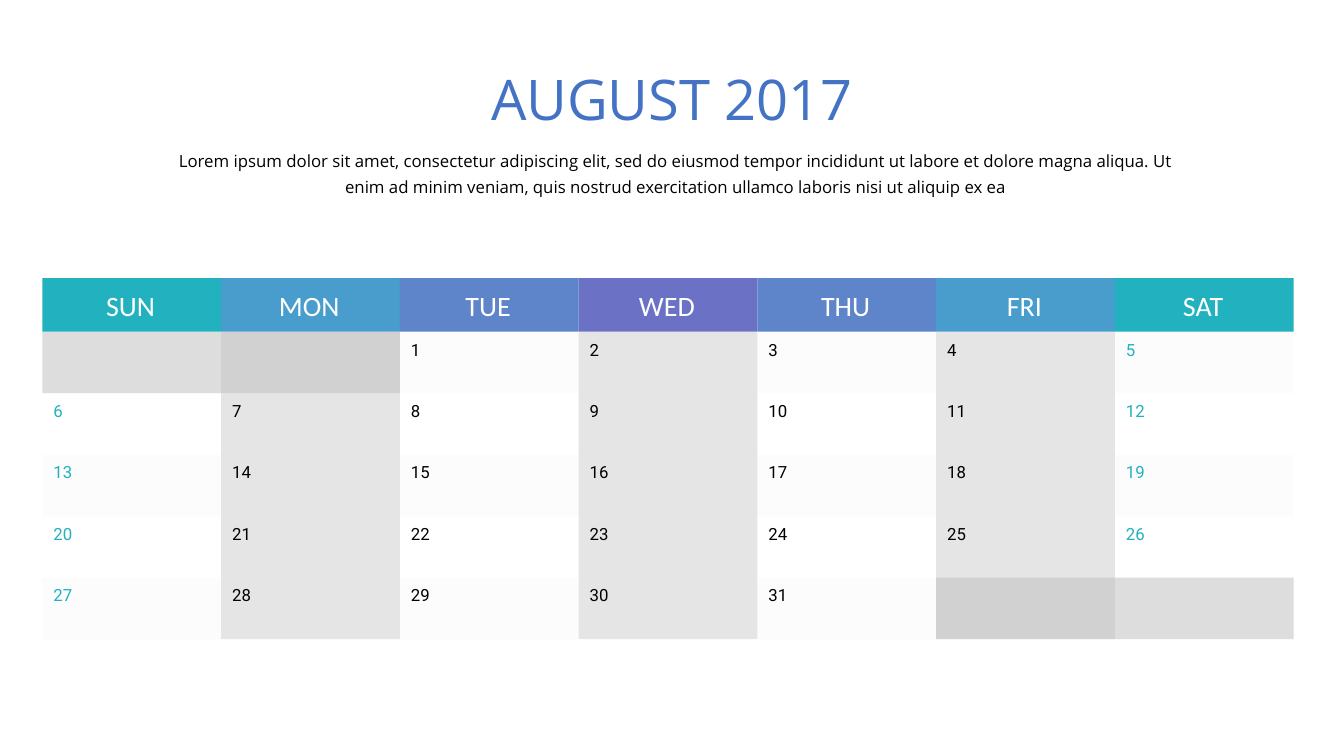
from pptx import Presentation
from pptx.dml.color import RGBColor
from pptx.enum.shapes import MSO_SHAPE
from pptx.enum.text import MSO_ANCHOR, MSO_AUTO_SIZE, PP_ALIGN
from pptx.oxml.ns import qn
from pptx.util import Inches, Pt
from lxml import etree

RECT = MSO_SHAPE.RECTANGLE
TOP, MID = MSO_ANCHOR.TOP, MSO_ANCHOR.MIDDLE
GROW = MSO_AUTO_SIZE.SHAPE_TO_FIT_TEXT
LEFT, MIDDLE = PP_ALIGN.LEFT, PP_ALIGN.CENTER

HUES = {
    "teal": "22B1BF", "sky": "499DCC", "blue": "5E85CA", "plum": "6B71C5",
    "title": "4472C4", "black": "000000", "white": "FFFFFF",
    "band": "E7E6E6", "blank": "BFBFBF",
}
DAYS = [
    ("SUN", "teal"), ("MON", "sky"), ("TUE", "blue"), ("WED", "plum"),
    ("THU", "blue"), ("FRI", "sky"), ("SAT", "teal"),
]
INTRO = (
    "Lorem ipsum dolor sit amet, consectetur adipiscing elit, sed do eiusmod "
    "tempor incididunt ut labore et dolore magna aliqua. Ut enim ad minim "
    "veniam, quis nostrud exercitation ullamco laboris nisi ut aliquip ex ea"
)
X, HEAD_Y, GRID_Y = 0.42, 2.76, 3.29
COL_W, HEAD_H, ROW_H = 1.773, 0.53, 0.61
ROWS, START, LAST = 5, 2, 31


def add_rect(slide, x, y, w, h, hue, alpha=None):
    """Draw a plain rectangle, with alpha as opacity in percent."""
    box = slide.shapes.add_shape(RECT, Inches(x), Inches(y), Inches(w), Inches(h))
    box.shadow.inherit = False
    box.line.fill.background()
    box.fill.solid()
    box.fill.fore_color.rgb = RGBColor.from_string(HUES[hue])
    if alpha:
        tint = box.fill._xPr.find(".//" + qn("a:srgbClr"))
        etree.SubElement(tint, qn("a:alpha")).set("val", str(alpha * 1000))


def put_text(box, text, size, font, hue, align=LEFT, anchor=TOP, inset=0,
             wrap=True, spacing=None):
    """Fill a shape with one formatted paragraph."""
    frame = box.text_frame
    frame.text = text
    frame.word_wrap = wrap
    frame.auto_size = GROW
    frame.vertical_anchor = anchor
    frame.margin_left = frame.margin_right = Inches(inset)
    frame.margin_top = frame.margin_bottom = Inches(inset)
    para = frame.paragraphs[0]
    para.alignment = align
    if spacing:
        para.line_spacing = spacing
    face = para.runs[0].font
    face.size = Pt(size)
    face.name = font
    face.color.rgb = RGBColor.from_string(HUES[hue])


def add_text(slide, x, y, w, h, text, **style):
    """Add a text box and fill it."""
    box = slide.shapes.add_textbox(Inches(x), Inches(y), Inches(w), Inches(h))
    put_text(box, text, **style)


def add_title(slide):
    """Place the month in the title placeholder."""
    title = slide.shapes.title
    title.left, title.top = Inches(4.83), Inches(0.64)
    title.width, title.height = Inches(3.67), Inches(0.67)
    put_text(title, "AUGUST 2017", size=40, font="Open Sans", hue="title",
             align=MIDDLE, wrap=False)


def add_shades(slide):
    """Shade every other column and row, and the days outside the month."""
    for col in range(1, 7, 2):
        add_rect(slide, X + col * COL_W, GRID_Y, COL_W, ROWS * ROW_H, "black", 10)
    for row in range(0, ROWS, 2):
        add_rect(slide, X, GRID_Y + row * ROW_H, 7 * COL_W, ROW_H, "band", 10)
    for col, row in ((0, 0), (5, ROWS - 1)):
        add_rect(slide, X + col * COL_W, GRID_Y + row * ROW_H, 2 * COL_W, ROW_H,
                 "blank", 50)


def add_heads(slide):
    """Add the weekday headings."""
    for col, (day, hue) in enumerate(DAYS):
        x = X + col * COL_W
        add_rect(slide, x, HEAD_Y, COL_W, HEAD_H, hue)
        add_text(slide, x + 0.02, HEAD_Y + 0.02, 1.71, 0.49, day, size=20,
                 font="Calibri", hue="white", align=MIDDLE, anchor=MID, inset=0.06)


def add_dates(slide):
    """Number the days of the month."""
    for date in range(1, LAST + 1):
        row, col = divmod(date + START - 1, 7)
        hue = "teal" if col in (0, 6) else "black"
        add_text(slide, X + 0.05 + col * COL_W, GRID_Y + row * ROW_H, 0.65, 0.35,
                 str(date), size=12, font="Roboto", hue=hue, anchor=MID, inset=0.06)


def main():
    """Build the calendar slide."""
    deck = Presentation()
    deck.slide_width, deck.slide_height = Inches(13.33), Inches(7.5)
    slide = deck.slides.add_slide(deck.slide_layouts[5])
    add_title(slide)
    add_text(slide, 1.71, 1.45, 9.99, 0.5, INTRO, size=12, font="Open Sans",
             hue="black", align=MIDDLE, spacing=1.25)
    add_shades(slide)
    add_heads(slide)
    add_dates(slide)
    deck.save("out.pptx")


if __name__ == "__main__":
    main()
